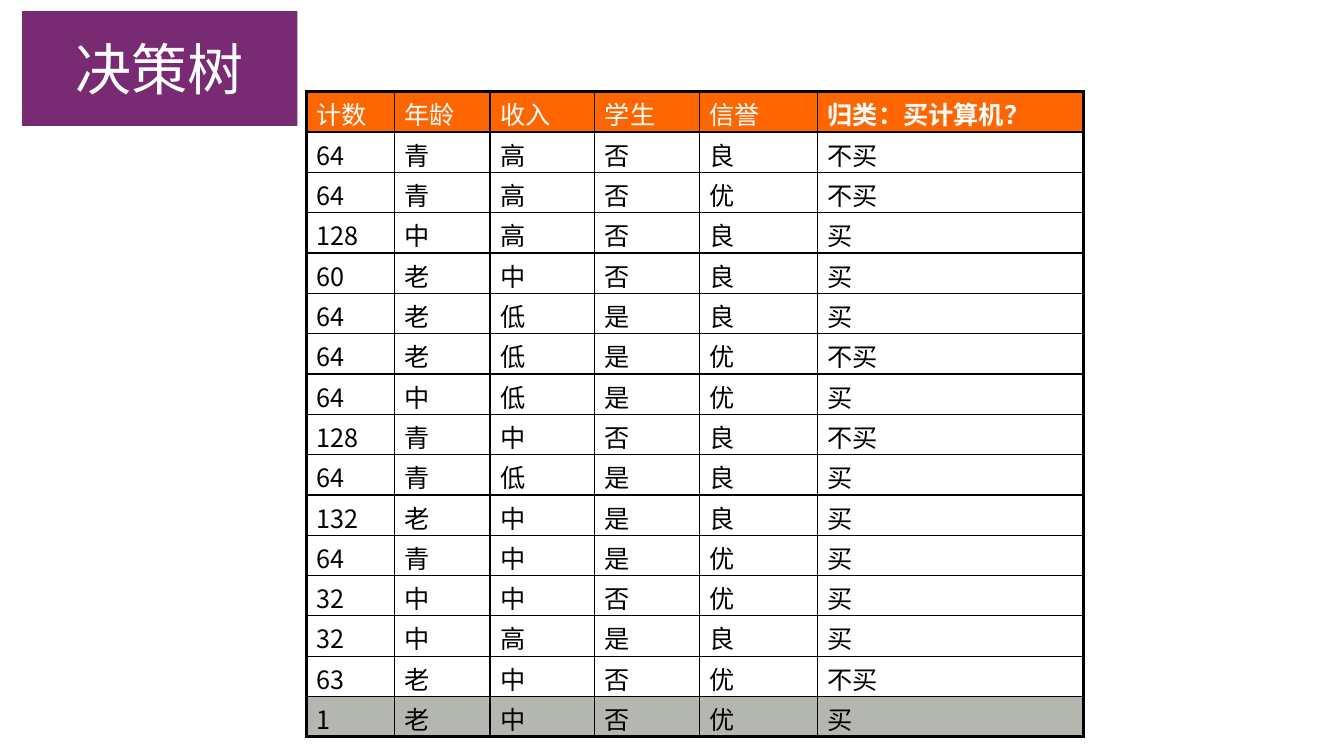
from dataclasses import dataclass

from lxml import etree
from pptx import Presentation
from pptx import util as u
from pptx.dml.color import RGBColor
from pptx.enum import text
from pptx.oxml import ns

PX = 9144
TABLE_FONT = "Noto Sans CJK JP"
BLACK, WHITE, ORANGE, GREY, PURPLE = "000000", "FFFFFF", "FF6600", "B4B6B0", "782B73"
THIN, THICK = 1, 2.25


@dataclass
class Column:
    heading: str
    width: int
    values: list[str]
    bold: bool = False


COLUMNS = [
    Column("计数", 87, "64 64 128 60 64 64 64 128 64 132 64 32 32 63 1".split()),
    Column("年龄", 95, list("青青中老老老中青青老青中中老老")),
    Column("收入", 104, list("高高高中低低低中低中中中高中中")),
    Column("学生", 104, list("否否否否是是是否是是是否是否否")),
    Column("信誉", 117, list("良优良良良优优良良良优优良优优")),
    Column("归类：买计算机？", 264,
           "不买 不买 买 买 买 不买 买 不买 买 买 买 买 买 不买 买".split(), True),
]
ROW_HEIGHT = 40


def px(n: int) -> u.Emu:
    return u.Emu(n * PX)


def rgb(colour: str) -> RGBColor:
    return RGBColor.from_string(colour)


def put_text(tf, words: str, *, size: int, font: str, colour: str,
             bold: bool = False, align=text.PP_ALIGN.LEFT) -> None:
    p = tf.paragraphs[0]
    p.alignment = align
    r = p.add_run()
    r.text = words
    r.font.size = u.Pt(size)
    r.font.name = font
    r.font.bold = bold
    r.font.color.rgb = rgb(colour)
    ea = etree.SubElement(r.font._element, ns.qn("a:ea"))
    ea.set("typeface", font)


def put_borders(cell, widths: dict[str, float]) -> None:
    tcPr = cell._tc.get_or_add_tcPr()
    for side, width in widths.items():
        ln = etree.SubElement(tcPr, ns.qn(f"a:ln{side}"), w=str(u.Pt(width)))
        fill = etree.SubElement(ln, ns.qn("a:solidFill"))
        etree.SubElement(fill, ns.qn("a:srgbClr"), val=BLACK)


def add_title(s, words: str) -> None:
    sp = s.shapes.title
    sp.left, sp.top, sp.width, sp.height = px(22), px(11), px(273), px(114)
    sp.fill.solid()
    sp.fill.fore_color.rgb = rgb(PURPLE)
    tf = sp.text_frame
    tf.auto_size = text.MSO_AUTO_SIZE.NONE
    tf.vertical_anchor = text.MSO_ANCHOR.MIDDLE
    put_text(tf, words, size=40, font="Calibri", colour=WHITE,
             align=text.PP_ALIGN.CENTER)


def add_records(s, columns: list[Column]) -> None:
    last_row, last_col = len(columns[0].values), len(columns) - 1
    frame = s.shapes.add_table(
        last_row + 1, len(columns), px(304), px(91),
        px(sum(c.width for c in columns)), px(ROW_HEIGHT * (last_row + 1)))
    table = frame.table
    table.horz_banding = False
    for row in table.rows:
        row.height = px(ROW_HEIGHT)
    for j, column in enumerate(columns):
        table.columns[j].width = px(column.width)
        for i, words in enumerate([column.heading, *column.values]):
            cell = table.cell(i, j)
            header = i == 0
            put_borders(cell, {
                "L": THICK if j == 0 else THIN,
                "R": THICK if j == last_col else THIN,
                "T": THICK if header else THIN,
                "B": THICK if i == last_row else THIN,
            })
            cell.fill.solid()
            cell.fill.fore_color.rgb = rgb(
                ORANGE if header else GREY if i == last_row else WHITE)
            cell.margin_top, cell.margin_bottom = px(3), px(0)
            cell.vertical_anchor = text.MSO_ANCHOR.BOTTOM
            put_text(cell.text_frame, words, size=18, font=TABLE_FONT,
                     colour=WHITE if header else BLACK,
                     bold=header and column.bold)


def main() -> None:
    prs = Presentation()
    prs.slide_width, prs.slide_height = px(1333), px(750)
    s = prs.slides.add_slide(prs.slide_layouts.get_by_name("Title Only"))
    add_title(s, "决策树")
    add_records(s, COLUMNS)
    prs.save("out.pptx")


if __name__ == "__main__":
    main()
